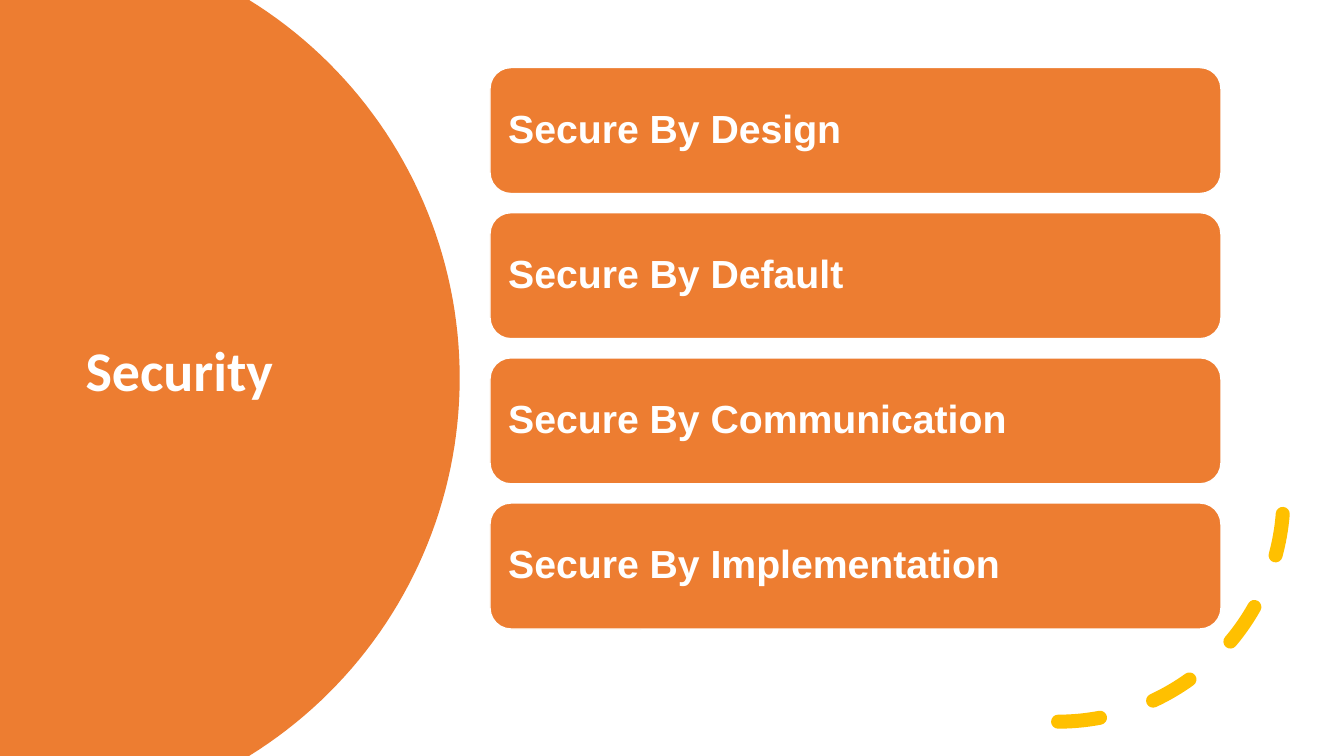
"""Build the Security slide: a title disc, four principle cards and a dashed arc."""
from math import asin, cos, sin

from pptx import Presentation
from pptx.dml.color import RGBColor
from pptx.enum.dml import MSO_LINE
from pptx.enum.shapes import MSO_SHAPE as SHAPE
from pptx.enum.text import MSO_ANCHOR as ANCHOR, PP_ALIGN as ALIGN
from pptx.oxml.ns import qn
from pptx.util import Inches, Pt

ORANGE, GOLD, WHITE = "ED7D31", "FFC000", "FFFFFF"


def rgb(value):
    return RGBColor.from_string(value)


def write(shape, text, inset, font_format):
    frame = shape.text_frame
    frame_format = {"word_wrap": True, "vertical_anchor": ANCHOR.MIDDLE,
                    "margin_left": Inches(inset), "margin_right": Inches(inset)}
    for name, value in frame_format.items():
        setattr(frame, name, value)
    paragraph = frame.paragraphs[0]
    paragraph.alignment = ALIGN.LEFT
    paragraph.line_spacing = 0.9
    run = paragraph.add_run()
    run.text = text
    for name, value in font_format.items():
        setattr(run.font, name, value)
    run.font.color.rgb = rgb(WHITE)


deck = Presentation()
deck.slide_width, deck.slide_height = Inches(13.33), Inches(7.5)
slide = deck.slides.add_slide(deck.slide_layouts[6])
shapes = slide.shapes

center_x, center_y, radius = 0.15, 3.75, 4.41
steps = 80
half_angle = asin(center_y / radius)
angles = [half_angle * (2 * step / steps - 1) for step in range(steps + 1)]
rim = [(Inches(center_x + radius * cos(angle)), Inches(center_y + radius * sin(angle)))
       for angle in angles]
outline = shapes.build_freeform(0, 0)
outline.add_line_segments(rim + [(0, Inches(7.5))], close=True)
disc = outline.convert_to_shape()
disc.shadow.inherit = False
disc.fill.solid()
disc.fill.fore_color.rgb = rgb(ORANGE)
disc.line.fill.background()

title = shapes.add_textbox(Inches(0.75), Inches(1.26), Inches(3.5), Inches(4.88))
write(title, "Security", 0.1, {"name": "Calibri", "size": Pt(40), "bold": True})

swoosh = shapes.add_shape(SHAPE.ARC, Inches(8.26), Inches(2.69), Inches(4.47), Inches(4.47))
swoosh.shadow.inherit = False
swoosh.fill.background()
swoosh.line.color.rgb = rgb(GOLD)
swoosh.line.width = Pt(10)
swoosh.line.dash_style = MSO_LINE.DASH
swoosh_properties = swoosh.element.spPr
swoosh_properties.find(qn("a:ln")).set("cap", "rnd")
swoosh_properties.find(qn("a:xfrm")).set("flipV", "1")

principles = ["Design", "Default", "Communication", "Implementation"]
card_top, card_pitch = 0.67, 1.44
for row, principle in enumerate(principles):
    card = shapes.add_shape(SHAPE.ROUNDED_RECTANGLE, Inches(4.86),
                            Inches(card_top + row * card_pitch), Inches(7.25), Inches(1.25))
    card.shadow.inherit = False
    card.fill.solid()
    card.fill.fore_color.rgb = rgb(ORANGE)
    card.line.color.rgb = rgb(WHITE)
    card.line.width = Pt(1)
    write(card, f"Secure By {principle}", 0.12,
          {"name": "Arial", "size": Pt(28), "bold": True})

deck.save("out.pptx")
